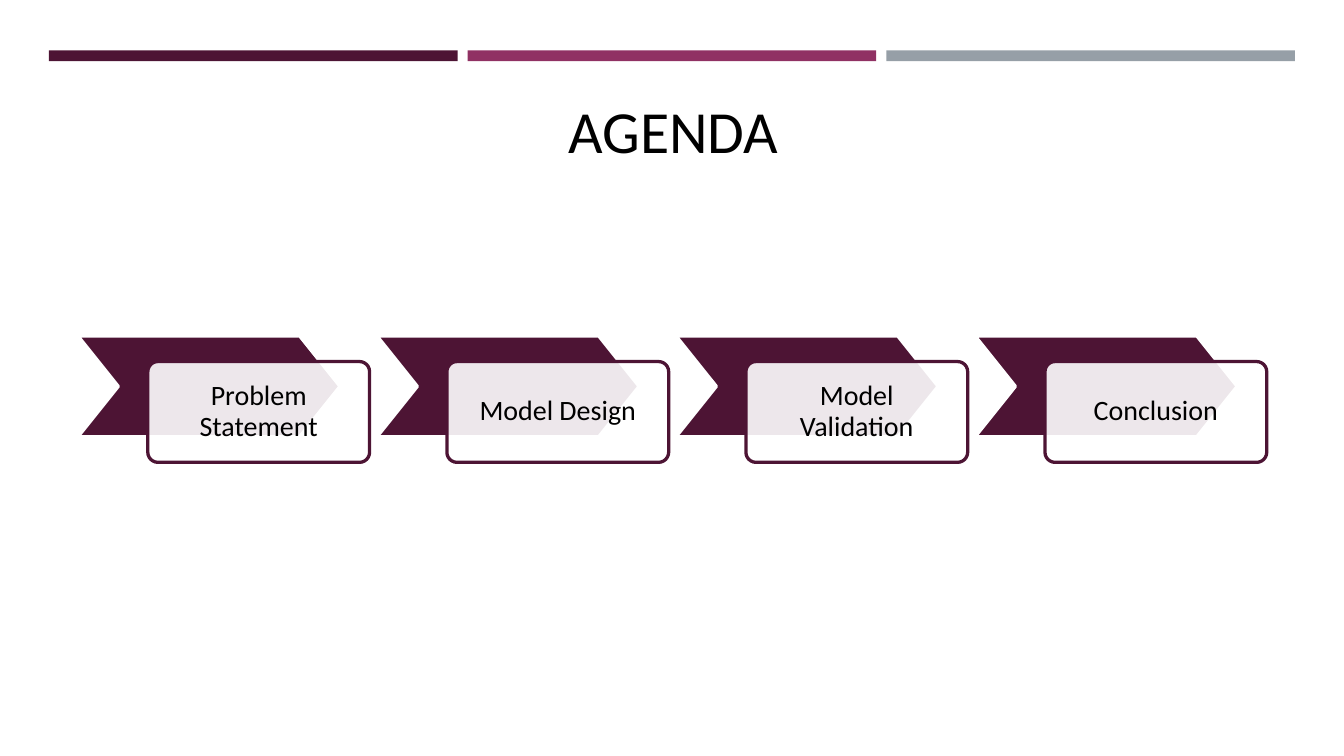
"""Build an agenda slide with four chevron steps under a three-part header bar."""
from dataclasses import dataclass

from lxml import etree
from pptx import Presentation
from pptx.dml.color import RGBColor
from pptx.enum.shapes import MSO_SHAPE
from pptx.enum.text import MSO_ANCHOR, PP_ALIGN
from pptx.oxml.ns import qn
from pptx.util import Emu, Pt

RECTANGLE = MSO_SHAPE.RECTANGLE
CHEVRON = MSO_SHAPE.CHEVRON
ROUNDED = MSO_SHAPE.ROUNDED_RECTANGLE
TOP, MIDDLE = MSO_ANCHOR.TOP, MSO_ANCHOR.MIDDLE
LEFT, CENTER = PP_ALIGN.LEFT, PP_ALIGN.CENTER
EMU_PER_PX = 4572


@dataclass(frozen=True)
class Theme:
    plum: str = "4D1434"
    magenta: str = "903163"
    gray: str = "969FA7"
    white: str = "FFFFFF"
    black: str = "000000"
    font: str = "Calibri"
    title_size: int = 32
    step_size: int = 15
    line_width: float = 1.75
    card_opacity: int = 90


@dataclass(frozen=True)
class Area:
    left: int
    top: int
    width: int
    height: int

    def shifted(self, distance: int) -> "Area":
        return Area(self.left + distance, self.top, self.width, self.height)

    def emu(self) -> tuple[Emu, ...]:
        return tuple(px(n) for n in (self.left, self.top, self.width, self.height))


@dataclass(frozen=True)
class TextStyle:
    size: int
    inset: int
    anchor: MSO_ANCHOR
    align: PP_ALIGN
    line_spacing: float


THEME = Theme()
TITLE = TextStyle(THEME.title_size, 20, TOP, LEFT, 1.0)
STEP = TextStyle(THEME.step_size, 24, MIDDLE, CENTER, 0.9)
TITLE_AREA = Area(826, 120, 404, 126)
BAR_AREA, BAR_PITCH = Area(73, 75, 608, 16), 623
CHEVRON_AREA = Area(116, 500, 390, 150)
CARD_AREA, STEP_PITCH = Area(220, 538, 330, 150), 445
BAR_COLORS = (THEME.plum, THEME.magenta, THEME.gray)
STEPS = ("Problem Statement", "Model Design", "Model Validation", "Conclusion")


def px(length: int) -> Emu:
    return Emu(length * EMU_PER_PX)


def assign(target, values: dict) -> None:
    for name, value in values.items():
        setattr(target, name, value)


def add_block(page, kind: MSO_SHAPE, area: Area, fill: str, line: str | None = None):
    block = page.shapes.add_shape(kind, *area.emu())
    block.shadow.inherit = False
    block.fill.solid()
    block.fill.fore_color.rgb = RGBColor.from_string(fill)
    if line is None:
        block.line.fill.background()
    else:
        block.line.color.rgb = RGBColor.from_string(line)
        block.line.width = Pt(THEME.line_width)
    return block


def write_text(box, words: str, style: TextStyle) -> None:
    frame = box.text_frame
    inset = px(style.inset)
    assign(frame, {"word_wrap": True, "vertical_anchor": style.anchor,
                   "margin_left": inset, "margin_right": inset,
                   "margin_top": inset, "margin_bottom": inset})
    para = frame.paragraphs[0]
    assign(para, {"alignment": style.align, "line_spacing": style.line_spacing})
    span = para.add_run()
    span.text = words
    assign(span.font, {"name": THEME.font, "size": Pt(style.size)})
    span.font.color.rgb = RGBColor.from_string(THEME.black)


def set_opacity(block, percent: int) -> None:
    color = block.fill._xPr.find(qn("a:solidFill"))[0]
    etree.SubElement(color, qn("a:alpha")).set("val", str(percent * 1000))


def add_step(page, words: str, offset: int) -> None:
    chevron = add_block(page, CHEVRON, CHEVRON_AREA.shifted(offset), THEME.plum, THEME.white)
    chevron.adjustments[0] = 0.4
    card = add_block(page, ROUNDED, CARD_AREA.shifted(offset), THEME.white, THEME.plum)
    card.adjustments[0] = 0.1
    set_opacity(card, THEME.card_opacity)
    write_text(card, words, STEP)


def main() -> None:
    deck = Presentation()
    assign(deck, {"slide_width": px(2000), "slide_height": px(1125)})
    page = deck.slides.add_slide(deck.slide_layouts[6])
    for index, color in enumerate(BAR_COLORS):
        add_block(page, RECTANGLE, BAR_AREA.shifted(index * BAR_PITCH), color)
    write_text(page.shapes.add_textbox(*TITLE_AREA.emu()), "AGENDA", TITLE)
    for index, words in enumerate(STEPS):
        add_step(page, words, index * STEP_PITCH)
    deck.save("out.pptx")


if __name__ == "__main__":
    main()
